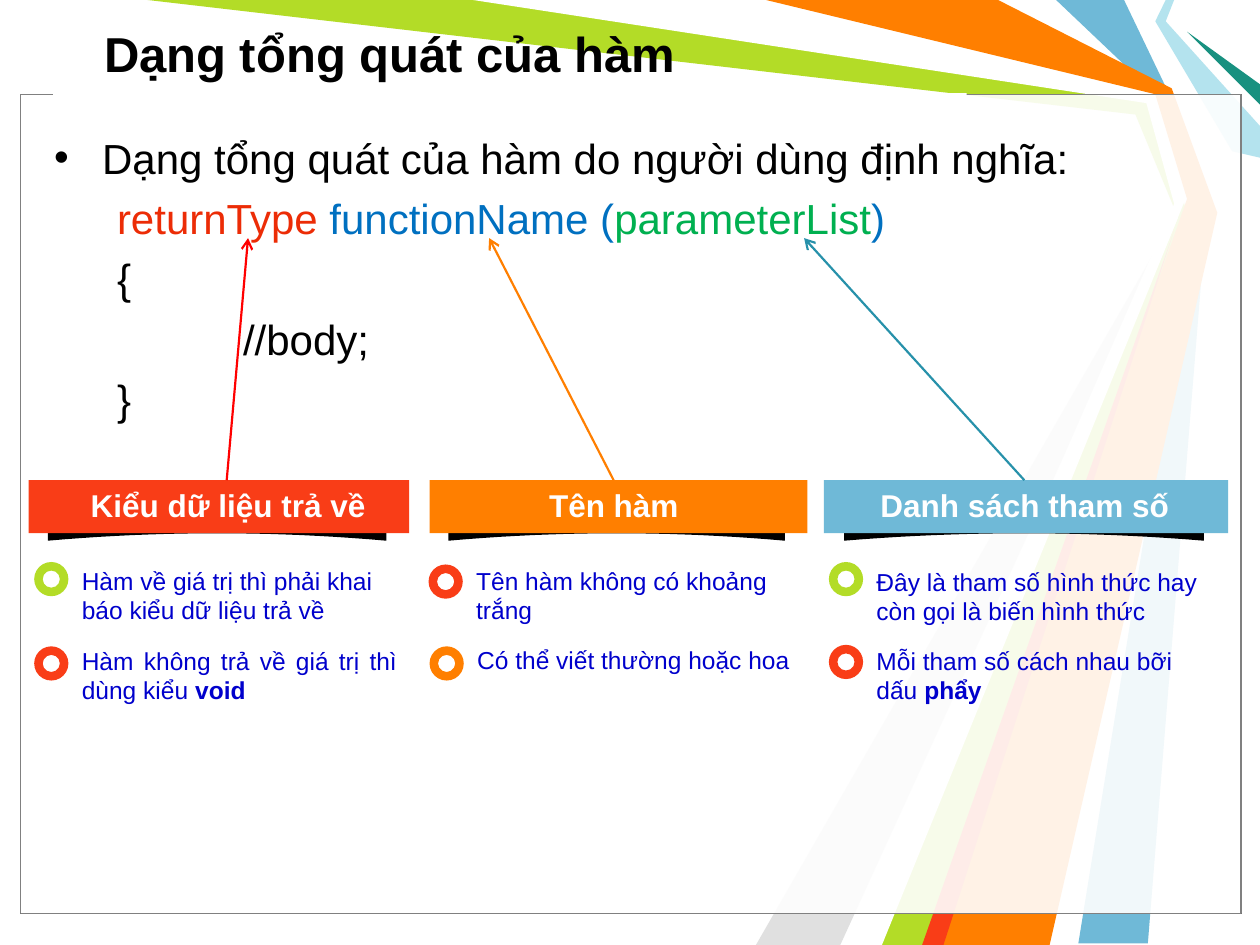
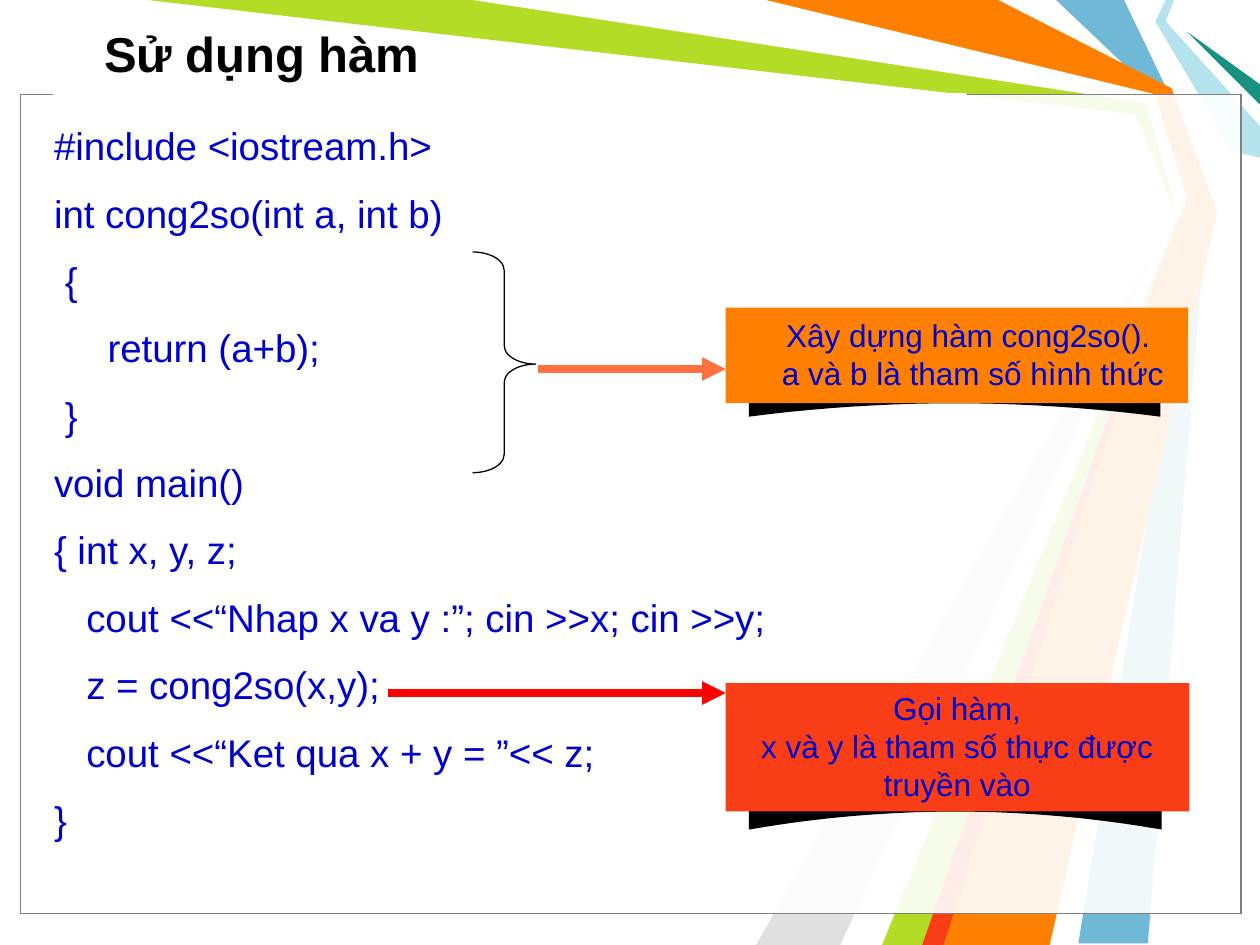
from dataclasses import dataclass
from itertools import zip_longest

from lxml.etree import SubElement
from pptx import Presentation
from pptx.dml.color import RGBColor
from pptx.enum.shapes import MSO_CONNECTOR, MSO_SHAPE
from pptx.enum.text import MSO_ANCHOR, PP_ALIGN
from pptx.oxml.ns import qn
from pptx.util import Cm, Pt

RECTANGLE, DONUT, BRACE = MSO_SHAPE.RECTANGLE, MSO_SHAPE.DONUT, MSO_SHAPE.RIGHT_BRACE
STRAIGHT = MSO_CONNECTOR.STRAIGHT
LEFT, CENTER, JUSTIFY = PP_ALIGN.LEFT, PP_ALIGN.CENTER, PP_ALIGN.JUSTIFY
TOP, MIDDLE = MSO_ANCHOR.TOP, MSO_ANCHOR.MIDDLE


@dataclass(frozen=True)
class Theme:
    font: str = "Arial"
    black: str = "000000"
    white: str = "FFFFFF"
    gray: str = "808080"
    silver: str = "E0E0E0"
    sky: str = "6FB9D7"
    ice: str = "B4E3EE"
    teal: str = "189180"
    lime: str = "B3DC27"
    orange: str = "FF7F00"
    red: str = "F93D17"
    navy: str = "0000CC"
    arrow_red: str = "FF0000"
    arrow_teal: str = "2791AA"
    arrow_coral: str = "FF7140"
    type_red: str = "EC2C06"
    name_blue: str = "0070C0"
    list_green: str = "00B050"
    title_size: int = 28
    body_size: int = 24
    code_size: int = 22
    label_size: int = 18
    note_size: int = 14


theme = Theme()


def paint(shape, fill=None, line=None, opacity=100):
    shape.shadow.inherit = False
    if fill:
        shape.fill.solid()
        shape.fill.fore_color.rgb = RGBColor.from_string(fill)
        if opacity < 100:
            color = shape._element.spPr.find(qn("a:solidFill"))[0]
            SubElement(color, qn("a:alpha"), val=str(opacity * 1000))
    else:
        shape.fill.background()
    if line:
        shape.line.color.rgb = RGBColor.from_string(line)
        shape.line.width = Pt(0.75)
    else:
        shape.line.fill.background()


def write(page, area, lines, size, color=theme.navy, bold=False, align=LEFT,
          anchor=TOP, gap=0, indents=(), bullet_indent=0):
    frame = page.shapes.add_textbox(*map(Cm, area)).text_frame
    frame.word_wrap = True
    frame.vertical_anchor = anchor
    for number, (spans, indent) in enumerate(zip_longest(lines, indents, fillvalue=0)):
        para = frame.add_paragraph() if number else frame.paragraphs[0]
        para.alignment = align
        para.space_before = Pt(gap)
        properties = para._p.get_or_add_pPr()
        properties.set("marL", str(Cm(indent)))
        if bullet_indent and number == 0:
            properties.set("marL", str(Cm(bullet_indent)))
            properties.set("indent", str(-Cm(bullet_indent)))
            SubElement(properties, qn("a:buFont"), typeface=theme.font)
            SubElement(properties, qn("a:buChar"), char="•")
        for text, look in spans:
            span = para.add_run()
            span.text = text
            span.font.name = theme.font
            span.font.size = Pt(size)
            span.font.bold = look.get("bold", bold)
            span.font.color.rgb = RGBColor.from_string(look.get("color", color))


deck = Presentation()
deck.slide_width, deck.slide_height = Cm(25.4), Cm(19.05)
blank = deck.slide_layouts[6]

rays = [
    (theme.sky, [(22.66, 0), (23.6, 1.96), (24.33, 4.24), (23.14, 19.02),
                 (21.74, 19.02), (24.13, 4.24), (23.29, 1.9), (21.29, 0)]),
    (theme.lime, [(2.97, 0), (9.73, 0), (23.22, 1.98), (23.93, 4.29),
                  (18.85, 19.05), (17.58, 19.05), (23.75, 4.39), (22.89, 2.31)]),
    (theme.silver, [(16.94, 19.05), (23.55, 4.6), (15.24, 19.05)]),
    (theme.white, [(9.53, 0), (23.11, 2.08), (23.67, 4.11), (17.15, 19.05),
                   (17.78, 19.05), (23.9, 4.01), (23.29, 1.9), (15.24, 0)]),
    (theme.ice, [(23.5, 0), (23.29, 0.43), (24.84, 3.05), (25.4, 3.18),
                 (25.4, 2.54), (23.5, 0.43), (23.67, 0)]),
    (theme.teal, [(25.4, 2.11), (23.93, 0.64), (25.4, 1.7)]),
    (theme.orange, [(15.44, 0), (20.12, 0), (23.62, 1.78), (24.54, 4.29),
                    (21.16, 19.05), (18.62, 19.05), (23.93, 4.01), (23.29, 1.9)]),
    (theme.red, [(18.59, 19.05), (23.67, 4.65), (19.02, 19.05)]),
]
panels = [
    ((0.41, 1.9, 24.61, 16.51), theme.white, theme.black, 69),
    ((0.41, 1.9, 24.61, 16.51), theme.white, theme.gray, 69),
    ((1.07, 1.88, 18.42, 0.43), theme.white, None, 100),
]
pages = []
for title in ("Dạng tổng quát của hàm", "Sử dụng hàm"):
    page = deck.slides.add_slide(blank)
    pages.append(page)
    for color, corners in rays:
        points = [(Cm(x), Cm(y)) for x, y in corners]
        builder = page.shapes.build_freeform(*points[0])
        builder.add_line_segments(points[1:])
        paint(builder.convert_to_shape(), color)
    for area, fill, line, opacity in panels:
        paint(page.shapes.add_shape(RECTANGLE, *map(Cm, area)), fill, line, opacity)
    write(page, (1.85, 0.2, 23.14, 1.75), [[(title, {})]], theme.title_size,
          color=theme.black, bold=True, anchor=MIDDLE)
syntax_page, usage_page = pages

syntax = [
    [("Dạng tổng quát của hàm do người dùng định nghĩa:", {})],
    [("returnType ", {"color": theme.type_red}),
     ("functionName (", {"color": theme.name_blue}),
     ("parameterList", {"color": theme.list_green}),
     (")", {"color": theme.name_blue})],
    [("{", {})],
    [("//body;", {})],
    [("}", {})],
]
write(syntax_page, (0.84, 2.54, 23.83, 15.67), syntax, theme.body_size,
      color=theme.black, align=JUSTIFY, gap=5.7,
      indents=(0, 1.27, 1.27, 3.81, 1.27), bullet_indent=0.97)

code = [
    (0, "#include <iostream.h>"),
    (0, "int cong2so(int a, int b)"),
    (0.22, "{"),
    (1.08, "return (a+b);"),
    (0.22, "}"),
    (0, "void main()"),
    (0, "{ int x, y, z;"),
    (0.65, "cout <<“Nhap x va y :”; cin >>x; cin >>y;"),
    (0.65, "z = cong2so(x,y);"),
    (0.65, "cout <<“Ket qua x + y = ”<< z;"),
    (0, "}"),
]
write(usage_page, (0.84, 2.34, 23.29, 15.29), [[(text, {})] for _, text in code],
      theme.code_size, align=JUSTIFY, gap=12.1, indents=[indent for indent, _ in code])

brace = usage_page.shapes.add_shape(BRACE, Cm(9.53), Cm(5.08), Cm(1.27), Cm(4.45))
brace.adjustments[0], brace.adjustments[1] = 0.292, 0.508
paint(brace, line=theme.black)

heading = {"color": theme.white, "bold": True}
ribbons = [
    (syntax_page, theme.orange, (8.66, 9.68, 7.62, 1.07), (9.02, 9.68, 6.71, 1.02),
     [[("Tên hàm", heading)]]),
    (syntax_page, theme.sky, (16.61, 9.68, 8.15, 1.07), (16.76, 9.68, 7.8, 1.02),
     [[("Danh sách tham số", heading)]]),
    (syntax_page, theme.red, (0.58, 9.68, 7.67, 1.07), (1.22, 9.68, 6.76, 1.02),
     [[("Kiểu dữ liệu trả về", heading)]]),
    (usage_page, theme.orange, (14.63, 6.2, 9.32, 1.93), (15.14, 6.25, 8.94, 1.8),
     [[("Xây dựng hàm cong2so(). ", {})], [("a và b là tham số hình thức", {})]]),
    (usage_page, theme.red, (14.63, 13.77, 9.35, 2.59), (14.81, 13.77, 8.97, 2.57),
     [[("Gọi hàm,", {})], [("x và y là tham số thực được truyền vào", {})]]),
]
arc = [(step / 20, 0.72 + 0.28 * (step / 10 - 1) ** 2) for step in range(21)]
shadow_outline = arc + [(1, 0.25), (0.5, 0), (0, 0.25)]
for page, color, area, label_area, lines in ribbons:
    left, top, width, height = area
    points = [(Cm(left + width * (0.05 + 0.89 * x)), Cm(top + height * (0.64 + 0.5 * y)))
              for x, y in shadow_outline]
    builder = page.shapes.build_freeform(*points[0])
    builder.add_line_segments(points[1:])
    paint(builder.convert_to_shape(), theme.black)
    paint(page.shapes.add_shape(RECTANGLE, *map(Cm, area)), color)
    write(page, label_area, lines, theme.label_size, align=CENTER)

arrows = [
    (syntax_page, (4.57, 9.68, 5, 4.8), theme.arrow_red, 1.25, "arrow"),
    (syntax_page, (20.65, 9.68, 16.21, 4.8), theme.arrow_teal, 1.25, "arrow"),
    (syntax_page, (12.37, 9.68, 9.86, 4.8), theme.orange, 1.25, "arrow"),
    (usage_page, (7.82, 13.97, 14.63, 13.97), theme.arrow_red, 4.5, "triangle"),
    (usage_page, (10.85, 7.44, 14.63, 7.44), theme.arrow_coral, 4.5, "triangle"),
]
for page, ends, color, width, head in arrows:
    arrow = page.shapes.add_connector(STRAIGHT, *map(Cm, ends))
    arrow.line.color.rgb = RGBColor.from_string(color)
    arrow.line.width = Pt(width)
    SubElement(arrow.line._get_or_add_ln(), qn("a:tailEnd"), type=head)
    SubElement(arrow._element.spPr, qn("a:effectLst"))

strong = {"bold": True}
notes = [
    (theme.red, 8.64, 11.38, 11.28, 6.86, LEFT,
     [("Tên hàm không có khoảng trắng", {})]),
    (theme.lime, 0.69, 11.33, 11.28, 6.86, LEFT,
     [("Hàm về giá trị thì phải khai báo kiểu dữ liệu trả về", {})]),
    (theme.red, 0.69, 13.03, 12.9, 6.86, JUSTIFY,
     [("Hàm không trả về giá trị thì dùng kiểu ", {}), ("void", strong)]),
    (theme.orange, 8.66, 13.03, 12.88, 7.39, LEFT,
     [("Có thể viết thường hoặc hoa", {})]),
    (theme.lime, 16.71, 11.33, 11.3, 7.37, LEFT,
     [("Đây là tham số hình thức hay còn gọi là biến hình thức", {})]),
    (theme.red, 16.71, 13, 12.9, 6.86, LEFT,
     [("Mỗi tham số cách nhau bỡi dấu ", {}), ("phẩy", strong)]),
]
for color, left, ring_top, text_top, width, align, spans in notes:
    ring = syntax_page.shapes.add_shape(DONUT, Cm(left), Cm(ring_top), Cm(0.69), Cm(0.69))
    ring.adjustments[0] = 0.25
    paint(ring, color)
    write(syntax_page, (left + 0.71, text_top, width, 1.45), [spans],
          theme.note_size, align=align)

deck.save("out.pptx")
